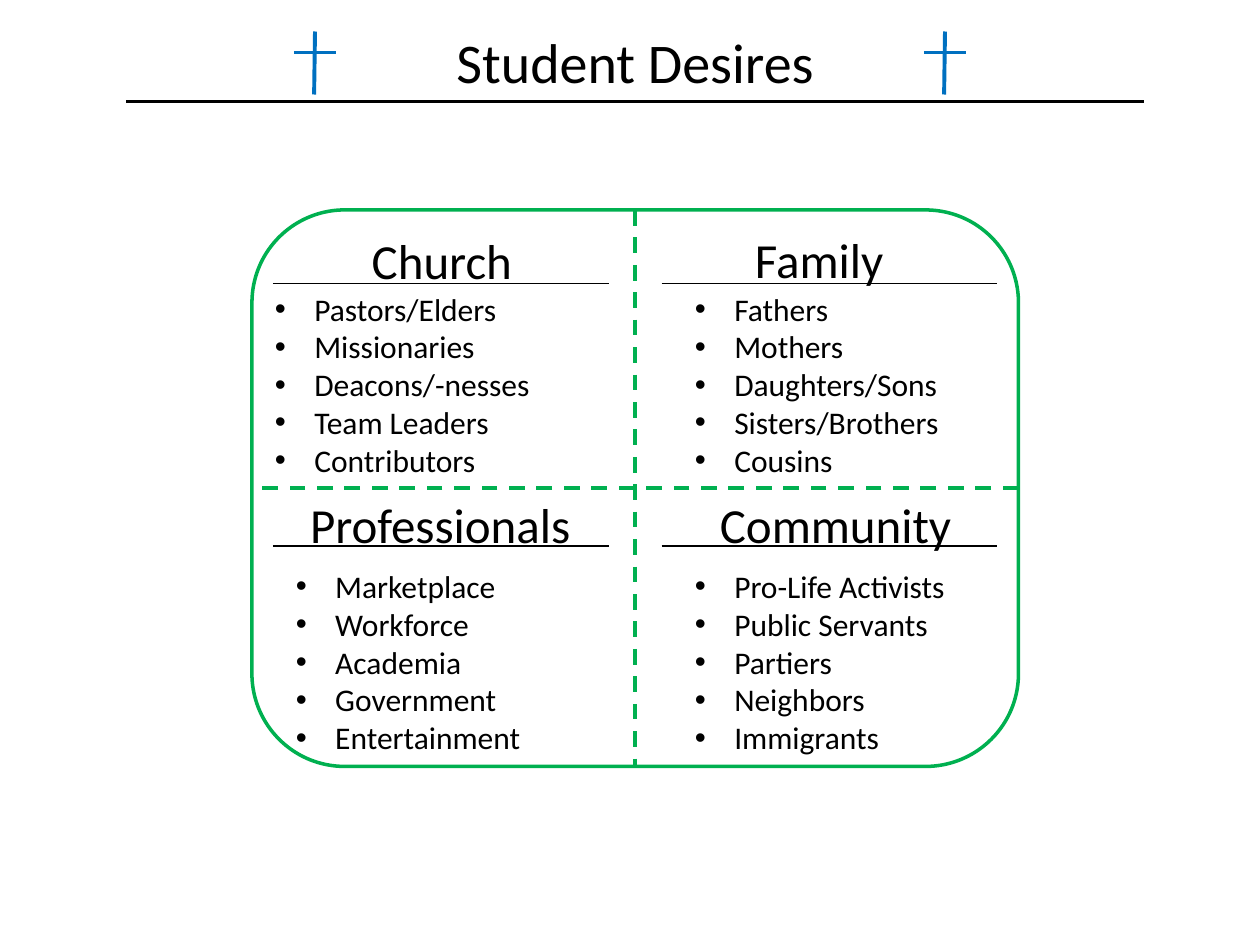
from dataclasses import dataclass

from lxml import etree
from pptx import Presentation
from pptx.dml.color import RGBColor
from pptx.enum.dml import MSO_LINE
from pptx.enum.shapes import MSO_CONNECTOR, MSO_SHAPE
from pptx.enum.text import MSO_ANCHOR, MSO_AUTO_SIZE, PP_ALIGN
from pptx.oxml.ns import qn
from pptx.util import Pt

STRAIGHT = MSO_CONNECTOR.STRAIGHT
ROUNDED = MSO_SHAPE.ROUNDED_RECTANGLE
DASH = MSO_LINE.DASH
TOP = MSO_ANCHOR.TOP
NO_FIT = MSO_AUTO_SIZE.NONE
LEFT = PP_ALIGN.LEFT
CENTER = PP_ALIGN.CENTER

BLACK = RGBColor(0x00, 0x00, 0x00)
GREEN = RGBColor(0x00, 0xB0, 0x50)
BLUE = RGBColor(0x00, 0x70, 0xC0)
FONT = "Calibri"
BULLET_INDENT = 22.5


@dataclass
class Quadrant:
    heading: str
    items: tuple
    heading_box: tuple
    rule_start: tuple
    list_box: tuple


QUADRANTS = (
    Quadrant("Church",
             ("Pastors/Elders", "Missionaries", "Deacons/-nesses",
              "Team Leaders", "Contributors"),
             (54, 8, 109, 41), (12, 42), (6, 42, 213, 117)),
    Quadrant("Family",
             ("Fathers", "Mothers", "Daughters/Sons",
              "Sisters/Brothers", "Cousins"),
             (57, 7.5, 96, 55), (15, 42), (27, 42, 168, 117)),
    Quadrant("Professionals",
             ("Marketplace", "Workforce", "Academia",
              "Government", "Entertainment"),
             (25, 0, 165, 41), (12, 33), (18, 41.5, 186, 138)),
    Quadrant("Community",
             ("Pro-Life Activists", "Public Servants", "Partiers",
              "Neighbors", "Immigrants"),
             (33, 0, 163, 41), (15, 33), (27, 41.5, 168, 138)),
)


def place(shape, left, top, width, height):
    shape.left, shape.top = Pt(left), Pt(top)
    shape.width, shape.height = Pt(width), Pt(height)


def add_bullet(paragraph):
    properties = paragraph._p.get_or_add_pPr()
    properties.set("marL", str(Pt(BULLET_INDENT)))
    properties.set("indent", str(-Pt(BULLET_INDENT)))
    font = etree.SubElement(properties, qn("a:buFont"))
    font.set("typeface", "Arial")
    bullet = etree.SubElement(properties, qn("a:buChar"))
    bullet.set("char", "•")


def write_text(shape, lines, size, align=LEFT, bullets=False):
    frame = shape.text_frame
    frame.word_wrap = True
    frame.auto_size = NO_FIT
    frame.vertical_anchor = TOP
    frame.text = "\n".join(lines)
    for paragraph in frame.paragraphs:
        paragraph.alignment = align
        if bullets:
            add_bullet(paragraph)
        for run in paragraph.runs:
            run.font.name = FONT
            run.font.size = Pt(size)
            run.font.color.rgb = BLACK


def add_text(slide, box, lines, **text_format):
    shape = slide.shapes.add_textbox(0, 0, 0, 0)
    place(shape, *box)
    write_text(shape, lines, **text_format)


def add_line(slide, start, end, color=BLACK, weight=1, dash=None):
    points = [Pt(value) for value in (*start, *end)]
    connector = slide.shapes.add_connector(STRAIGHT, *points)
    connector.line.color.rgb = color
    connector.line.width = Pt(weight)
    if dash:
        connector.line.dash_style = dash
    etree.SubElement(connector._element.spPr, qn("a:effectLst"))


def add_cross(slide, left, top):
    add_line(slide, (left, top + 12), (left + 24, top + 12), BLUE, 2.25)
    add_line(slide, (left + 12, top), (left + 11.5, top + 36), BLUE, 2.25)


def add_header(slide, left, top, width, height):
    title = slide.shapes.title
    place(title, left, top, width, height)
    write_text(title, ["Student Desires"], size=32, align=CENTER)
    bottom = top + height
    add_line(slide, (left, bottom), (left + width, bottom), weight=1.5)
    for offset in (96, 456):
        add_cross(slide, left + offset, top + 6)


def add_quadrant(slide, left, top, quadrant):
    def shifted(box):
        return (left + box[0], top + box[1], *box[2:])

    add_text(slide, shifted(quadrant.heading_box), [quadrant.heading],
             size=28, align=CENTER)
    add_text(slide, shifted(quadrant.list_box), quadrant.items,
             size=18, bullets=True)
    rule_left, rule_top = shifted(quadrant.rule_start)
    add_line(slide, (rule_left, rule_top), (rule_left + 192, rule_top))


def add_matrix(slide, left, top, width, height):
    border = slide.shapes.add_shape(ROUNDED, 0, 0, 0, 0)
    place(border, left, top, width, height)
    border.shadow.inherit = False
    border.fill.background()
    border.line.color.rgb = GREEN
    border.line.width = Pt(2)
    middle_x, middle_y = left + width / 2, top + height / 2
    add_line(slide, (middle_x, top), (middle_x, top + height),
             GREEN, 2.25, DASH)
    add_line(slide, (left + width, middle_y), (left, middle_y),
             GREEN, 2.25, DASH)
    for index, quadrant in enumerate(QUADRANTS):
        row, column = divmod(index, 2)
        add_quadrant(slide, left + column * width / 2,
                     top + row * height / 2, quadrant)


def main():
    presentation = Presentation()
    presentation.slide_width = Pt(720)
    presentation.slide_height = Pt(540)
    slide = presentation.slides.add_slide(presentation.slide_layouts[5])
    add_matrix(slide, 144, 120, 438, 318)
    add_header(slide, 72, 12, 582, 46)
    presentation.save("out.pptx")


main()
